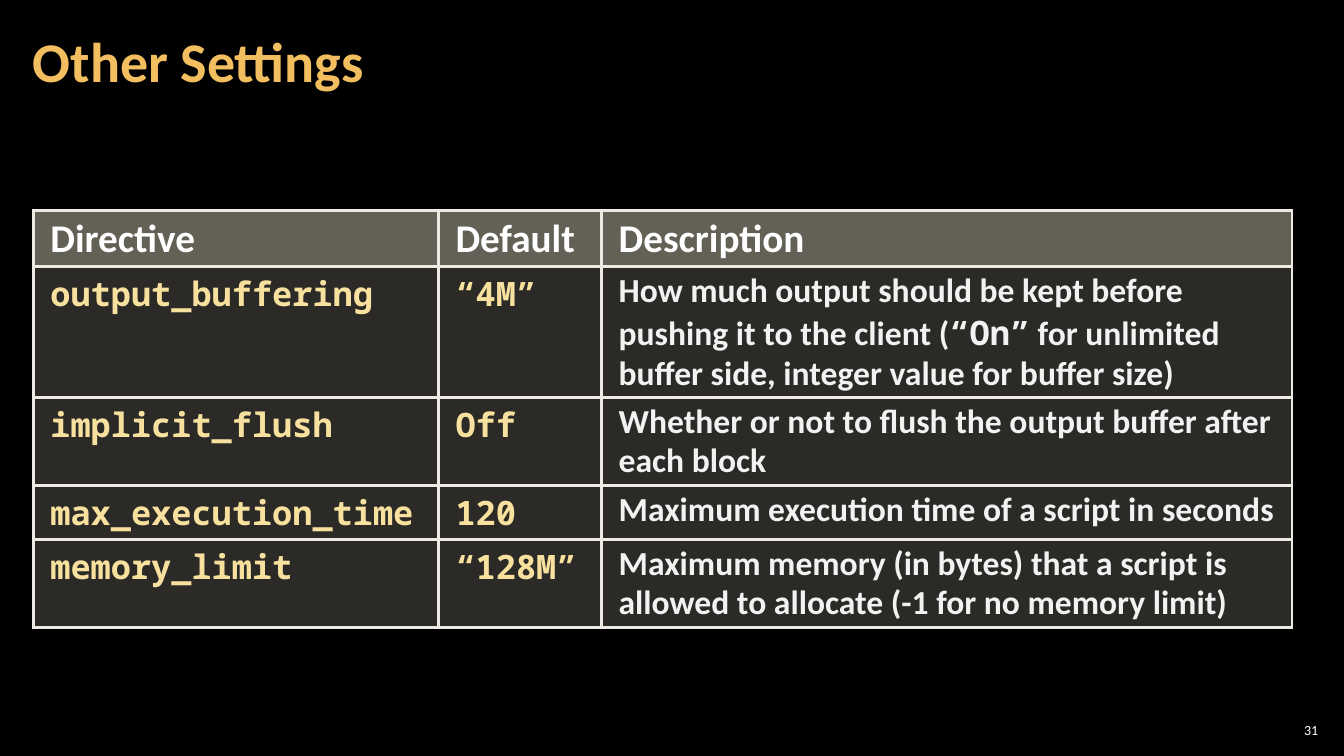
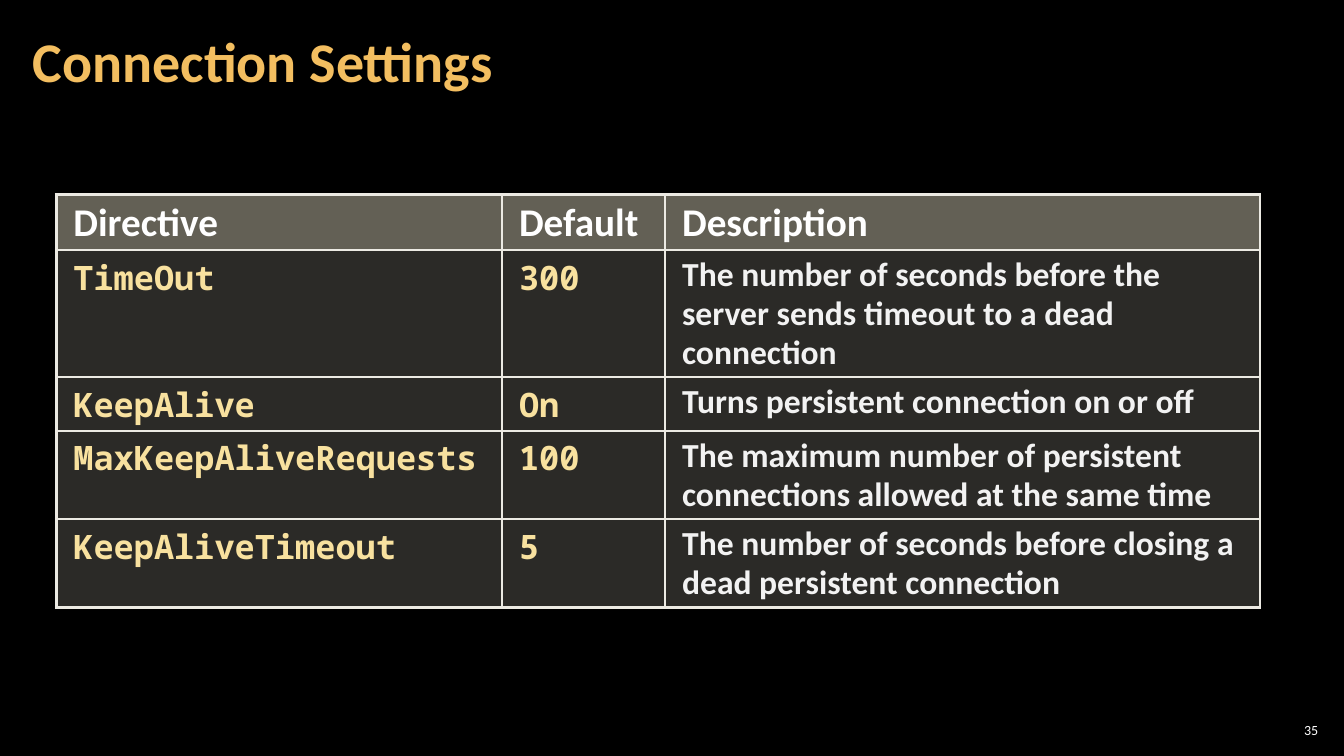
from lxml.etree import SubElement
from pptx import Presentation
from pptx.dml.color import RGBColor
from pptx.enum.text import MSO_ANCHOR, PP_ALIGN
from pptx.oxml import parse_xml
from pptx.oxml.ns import nsdecls, qn
from pptx.util import Cm, Pt

COLORS = {
    "background": "000000",
    "title": "F3BE60",
    "white": "FFFFFF",
    "code": "F8E19F",
    "body": "F2F2F2",
    "border": "ECEAE3",
    "header_fill": "C6C0AA",
    "row_fill": "D9D5C7",
}
SANS = "Calibri"
MONO = "Noto Sans Mono"
HEADER = ["Directive", "Default", "Description"]

SLIDES = [
    {
        "title": "Other Settings",
        "number": "31",
        "left": 0.84,
        "top": 5.31,
        "widths": [10.21, 4.11, 17.4],
        "heights": [1.4, 3.3, 2.22, 1.36, 2.22],
        "rows": [
            ["output_buffering", "“4M”", [
                ("How much output should be kept before pushing it to the client (", SANS),
                ("“On”", MONO),
                (" for unlimited buffer side, integer value for buffer size)", SANS),
            ]],
            ["implicit_flush", "Off",
             "Whether or not to flush the output buffer after each block"],
            ["max_execution_time", "120",
             "Maximum execution time of a script in seconds"],
            ["memory_limit", "“128M”",
             "Maximum memory (in bytes) that a script is allowed to allocate (-1 for no memory limit)"],
        ],
    },
    {
        "title": "Connection Settings",
        "number": "35",
        "left": 1.42,
        "top": 4.9,
        "widths": [11.23, 4.11, 14.99],
        "heights": [1.4, 3.2, 1.36, 2.22, 2.22],
        "rows": [
            ["TimeOut", "300",
             "The number of seconds before the server sends timeout to a dead connection"],
            ["KeepAlive", "On", "Turns persistent connection on or off"],
            ["MaxKeepAliveRequests", "100",
             "The maximum number of persistent connections allowed at the same time"],
            ["KeepAliveTimeout", "5",
             "The number of seconds before closing a dead persistent connection"],
        ],
    },
]


def add_run(paragraph, text, size, color, font=SANS, bold=True):
    run = paragraph.add_run()
    run.text = text
    run.font.size = Pt(size)
    run.font.name = font
    run.font.bold = bold
    run.font.color.rgb = RGBColor.from_string(COLORS[color])


def style_cell(cell, fill, opacity):
    cell.margin_left = cell.margin_right = Cm(0.43)
    cell.margin_top = cell.margin_bottom = Cm(0.13)
    cell.fill.solid()
    cell.fill.fore_color.rgb = RGBColor.from_string(COLORS[fill])
    properties = cell._tc.get_or_add_tcPr()
    color = properties.find(".//" + qn("a:srgbClr"))
    SubElement(color, qn("a:alpha"), val=str(opacity * 1000))
    for position, side in enumerate(["lnL", "lnR", "lnT", "lnB"]):
        border = parse_xml(
            f'<a:{side} {nsdecls("a")} w="{Pt(2.25)}"><a:solidFill>'
            f'<a:srgbClr val="{COLORS["border"]}"/></a:solidFill></a:{side}>'
        )
        properties.insert(position, border)


presentation = Presentation()
presentation.slide_width = Cm(33.87)
presentation.slide_height = Cm(19.05)

for content in SLIDES:
    slide = presentation.slides.add_slide(presentation.slide_layouts[6])
    slide.background.fill.solid()
    slide.background.fill.fore_color.rgb = RGBColor.from_string(COLORS["background"])

    number = slide.shapes.add_textbox(Cm(32.13), Cm(18.14), Cm(1.19), Cm(0.53))
    title = slide.shapes.add_textbox(Cm(0.53), Cm(0.1), Cm(26.59), Cm(3.07))
    for shape, margin in [(number, 0.1), (title, 0.3)]:
        frame = shape.text_frame
        frame.word_wrap = True
        frame.vertical_anchor = MSO_ANCHOR.MIDDLE
        frame.margin_left = frame.margin_right = Cm(margin)
        frame.margin_top = frame.margin_bottom = Cm(0.1)

    paragraph = number.text_frame.paragraphs[0]
    paragraph.alignment = PP_ALIGN.RIGHT
    add_run(paragraph, content["number"], 10, "white", bold=False)
    paragraph = title.text_frame.paragraphs[0]
    paragraph.line_spacing = 0.9
    add_run(paragraph, content["title"], 40, "title")

    rows = [HEADER] + content["rows"]
    table = slide.shapes.add_table(
        len(rows), len(HEADER), Cm(content["left"]), Cm(content["top"]),
        Cm(sum(content["widths"])), Cm(sum(content["heights"])),
    ).table
    for column, width in zip(table.columns, content["widths"]):
        column.width = Cm(width)
    for row, height in zip(table.rows, content["heights"]):
        row.height = Cm(height)

    for row_index, row in enumerate(rows):
        for column_index, value in enumerate(row):
            cell = table.cell(row_index, column_index)
            if row_index == 0:
                style_cell(cell, "header_fill", 50)
                size, color, font = 28, "white", SANS
            else:
                style_cell(cell, "row_fill", 20)
                is_code = column_index < 2
                size, color, font = (24, "code", MONO) if is_code else (24, "body", SANS)
            paragraph = cell.text_frame.paragraphs[0]
            paragraph.line_spacing = 0.95
            runs = [(value, font)] if isinstance(value, str) else value
            for text, run_font in runs:
                add_run(paragraph, text, size, color, run_font)

presentation.save("out.pptx")
